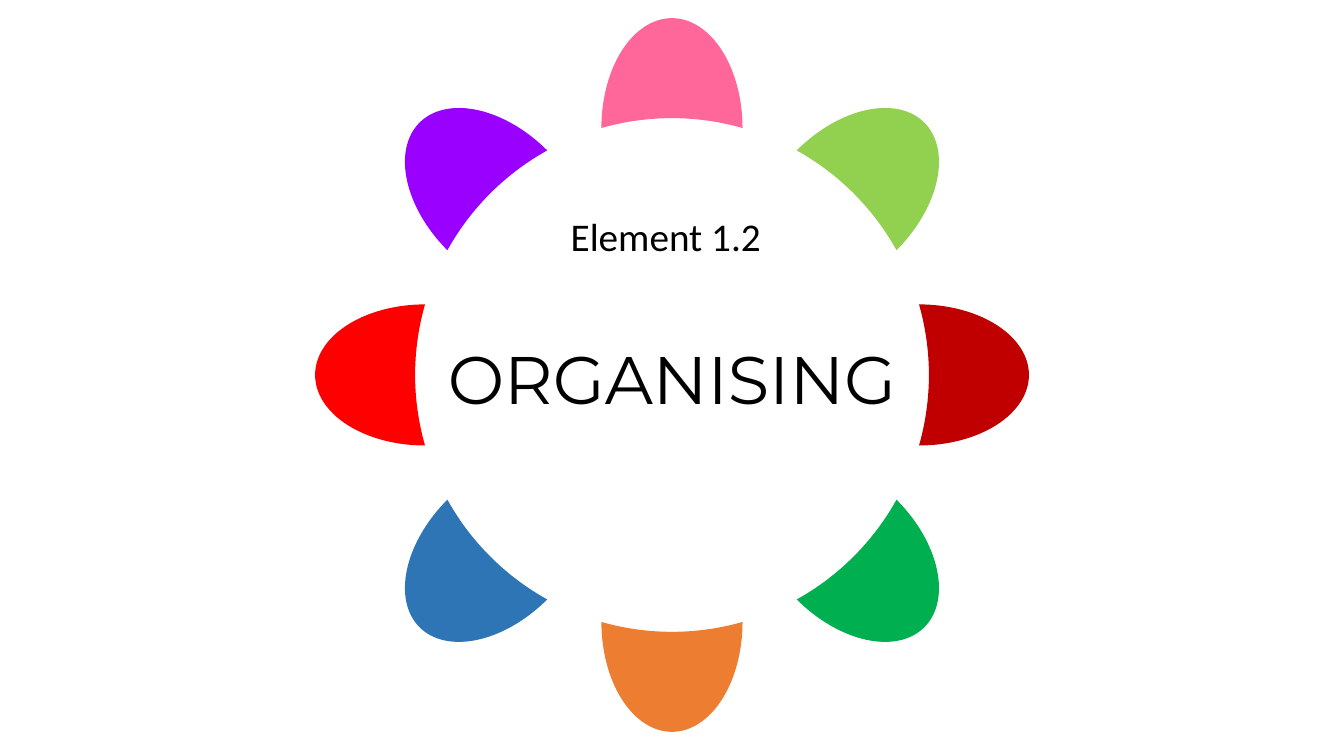
from math import atan2, cos, hypot, pi, sin, tan

from pptx import Presentation
from pptx.dml.color import RGBColor
from pptx.enum.text import MSO_ANCHOR, PP_ALIGN
from pptx.oxml import parse_xml
from pptx.oxml.ns import nsdecls, qn
from pptx.util import Inches, Pt

deck = Presentation()
deck.slide_width, deck.slide_height = Inches(13.33), Inches(7.5)
page = deck.slides.add_slide(deck.slide_layouts[0])


def color(value):
    return RGBColor.from_string(value)


def curve_points(offset, radius_x, radius_y, start, end):
    reach = 4 / 3 * tan((end - start) / 4)
    return [
        (radius_x * (cos(angle) - pull * sin(angle)),
         offset + radius_y * (sin(angle) + pull * cos(angle)))
        for angle, pull in [(start, reach), (end, -reach), (end, 0)]
    ]


center_x, center_y = 13.33 / 2, 3.72
base_radius, petal_length, petal_half_width = 2.45, 1.09, 0.7
ring_radius = hypot(base_radius, petal_half_width)
half_angle = atan2(petal_half_width, base_radius)

outline = [(petal_half_width, base_radius)]
for quarter in range(4):
    outline += curve_points(base_radius, petal_half_width, petal_length,
                            pi * quarter / 4, pi * (quarter + 1) / 4)
outline += curve_points(0, ring_radius, ring_radius, pi / 2 + half_angle, pi / 2 - half_angle)

petal_fills = ["FF6699", "92D050", "C00000", "00B050", "ED7D31", "2E75B6", "FF0000", "9900FF"]
for index, fill in enumerate(petal_fills):
    turn = 2 * pi * index / len(petal_fills)
    points = [
        (
            Inches(center_x + across * cos(turn) + outward * sin(turn)),
            Inches(center_y + across * sin(turn) - outward * cos(turn)),
        )
        for across, outward in outline
    ]
    builder = page.shapes.build_freeform(*points[0])
    builder.add_line_segments(points[1:], close=True)
    petal = builder.convert_to_shape()
    contour = next(petal.element.iter(qn("a:path")))
    segments = contour.findall(qn("a:lnTo"))
    for first in range(0, len(outline) - 1, 3):
        curve = parse_xml(f"<a:cubicBezTo {nsdecls('a')}/>")
        segments[first].addprevious(curve)
        for segment in segments[first:first + 3]:
            curve.append(segment[0])
            contour.remove(segment)
    petal.shadow.inherit = False
    petal.fill.solid()
    petal.fill.fore_color.rgb = color(fill)
    petal.line.fill.background()

labels = [
    (page.shapes.title, "ORGANISING", (4.14, 3.3, 5.05, 0.91), PP_ALIGN.CENTER,
     {"name": "Montserrat", "size": Pt(48)}),
    (page.placeholders[1], "Element 1.2", (5.56, 2.06, 2.21, 1.04), PP_ALIGN.LEFT,
     {"name": "Calibri", "size": Pt(28)}),
]
for box, text, frame, alignment, formats in labels:
    box.left, box.top, box.width, box.height = map(Inches, frame)
    box.text_frame.text = text
    box.text_frame.word_wrap = True
    box.text_frame.vertical_anchor = MSO_ANCHOR.TOP
    para = box.text_frame.paragraphs[0]
    para.alignment = alignment
    para.space_before = Pt(0)
    span = para.runs[0]
    for key, value in formats.items():
        setattr(span.font, key, value)
    span.font.color.rgb = color("000000")

deck.save("out.pptx")
